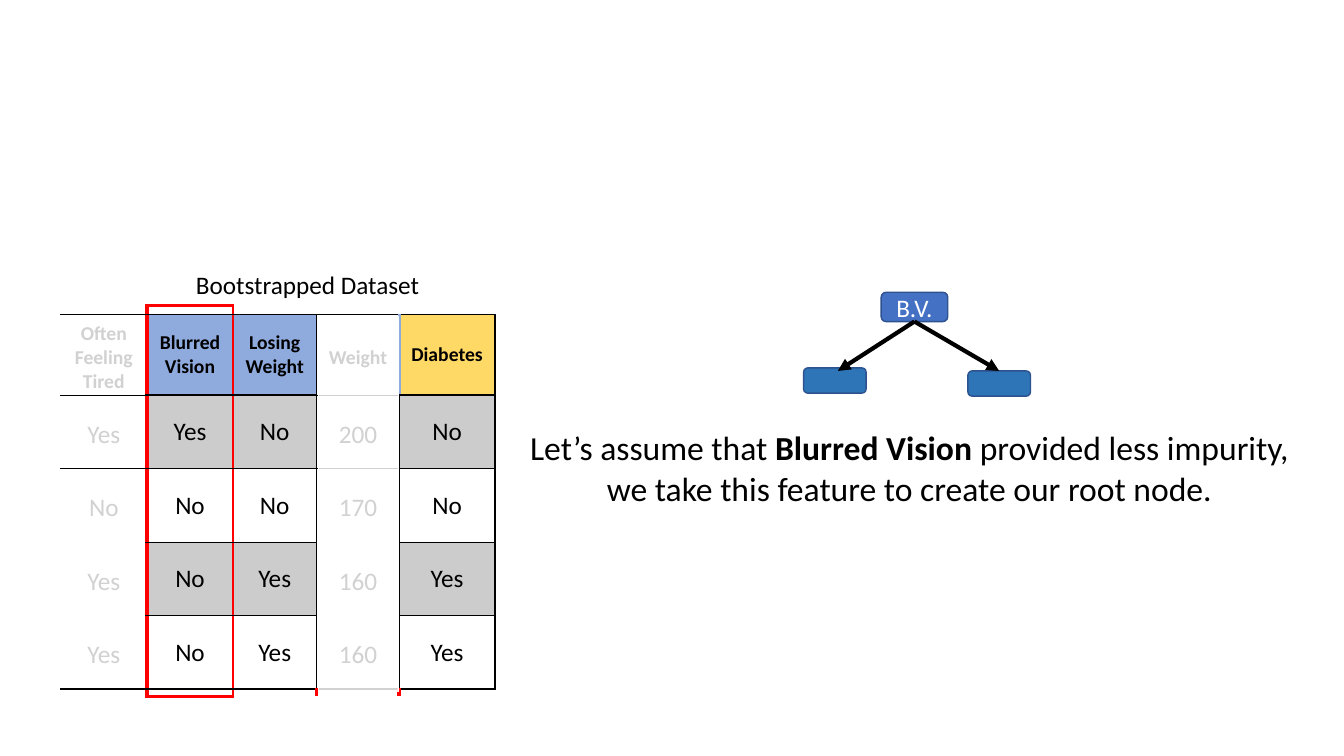
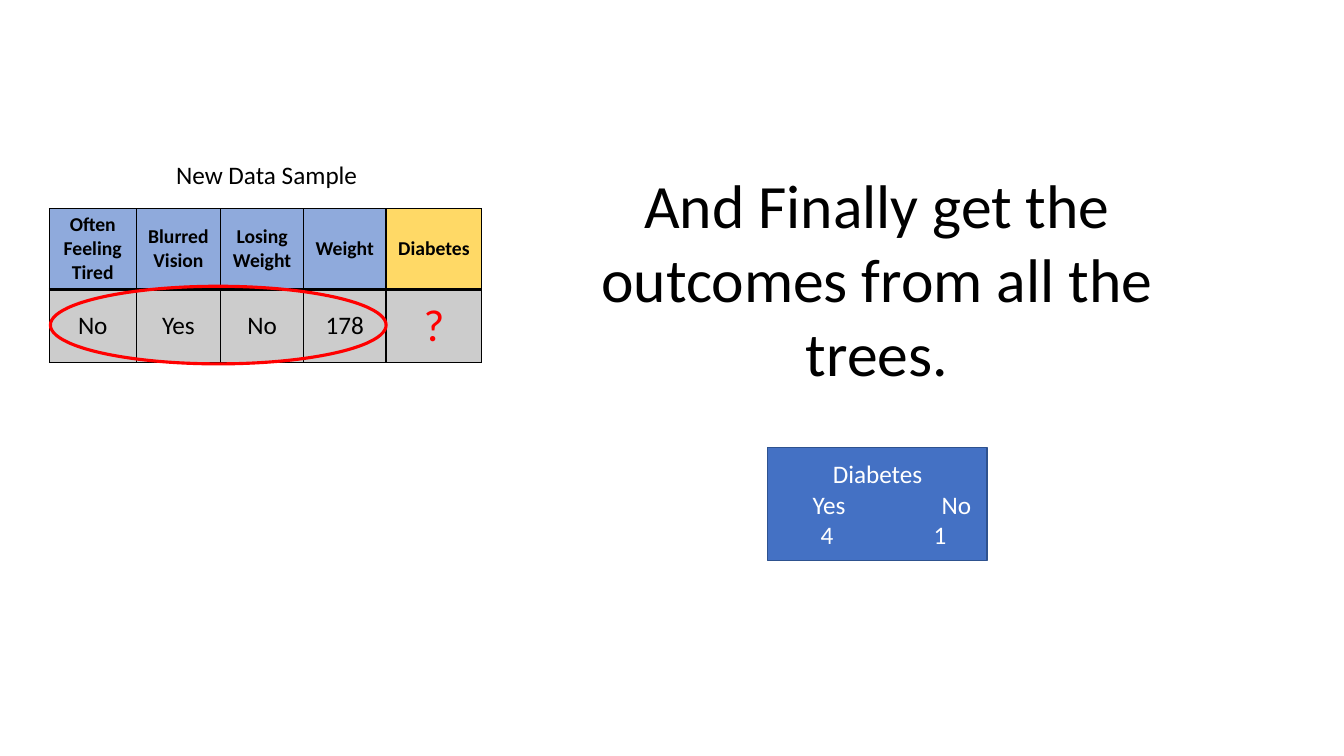
"""Build two slides that grow one tree and collect the votes for a new sample."""
import collections
import dataclasses

import lxml.etree
import pptx
import pptx.dml.color
import pptx.enum.shapes
import pptx.enum.text
import pptx.oxml.ns
import pptx.util

Inches = pptx.util.Inches
Pt = pptx.util.Pt
qn = pptx.oxml.ns.qn
Align = pptx.enum.text.PP_ALIGN
Anchor = pptx.enum.text.MSO_ANCHOR
Shape = pptx.enum.shapes.MSO_SHAPE


@dataclasses.dataclass(frozen=True)
class Theme:
    """Colours, type sizes and font of the deck."""
    font: str = "Calibri"
    black: str = "000000"
    white: str = "FFFFFF"
    red: str = "FF0000"
    feature: str = "8FAADC"
    target: str = "FFD966"
    stripe: str = "CCCCCC"
    root: str = "4471C4"
    leaf: str = "2D75B6"
    outline: str = "2E528F"
    header_size: int = 14
    label_size: int = 18
    body_size: int = 24
    question_size: int = 32
    headline_size: int = 44


THEME = Theme()
HEADERS = ["Often Feeling Tired", "Blurred Vision", "Losing Weight", "Weight", "Diabetes"]

BOOTSTRAP_TITLE = "Bootstrapped Dataset"
BOOTSTRAP_ROWS = [
    ["Yes", "Yes", "No", "200", "No"],
    ["No", "No", "No", "170", "No"],
    ["Yes", "No", "Yes", "160", "Yes"],
    ["Yes", "No", "Yes", "160", "Yes"],
]
BOOTSTRAP_PLACE = (0.6, 3.03)
BOOTSTRAP_COLUMNS = [0.86, 0.85, 0.83, 0.82, 0.95]
HEADER_HEIGHT, ROW_HEIGHT = 0.8, 0.73
BOOTSTRAP_HEIGHTS = [0.09, HEADER_HEIGHT] + [ROW_HEIGHT] * 4 + [0.07]
FADED = {0: 3, 3: 1}
BOOTSTRAP_VERTICAL = [
    (1, range(7), THEME.red, 3),
    (2, range(7), THEME.red, 2.25),
    (3, range(1, 6), THEME.black, 1),
    (3, [6], THEME.red, 3),
    (4, [1], THEME.feature, 2.25),
    (4, range(2, 6), THEME.black, 1),
    (5, range(1, 6), THEME.black, 1),
]
BOOTSTRAP_HORIZONTAL = [
    (0, [1], THEME.red, 2.25),
    (1, range(5), THEME.black, 0.75),
    (2, [0, 3], THEME.black, 0.75),
    (2, [1, 2, 4], THEME.black, 2.25),
    (3, [1, 2, 4], THEME.black, 1),
    (4, [1, 2, 4], THEME.black, 1),
    (5, [1, 2, 4], THEME.black, 1),
    (6, range(5), THEME.black, 1.5),
    (7, [1], THEME.red, 2.25),
]
VEIL_PLACES = {0: (0.6, 3.14, 0.86, 3.72), 3: (3.16, 3.14, 0.79, 3.72)}
NODES = [
    ("", (7.97, 3.65, 0.62, 0.25), THEME.leaf),
    ("B.V.", (8.74, 2.9, 0.66, 0.29), THEME.root),
    ("", (9.6, 3.68, 0.62, 0.25), THEME.leaf),
]
BRANCH_START = (9.07, 3.19)
BRANCH_ENDS = [(8.31, 3.68), (9.91, 3.68)]
EXPLANATION = [
    ("Let’s assume that ", False),
    ("Blurred Vision ", True),
    ("provided less impurity, we take this feature to create our root node.", False),
]

SAMPLE_CAPTION = "New Data Sample"
SAMPLE_ROW = ["No", "Yes", "No", "178", "?"]
SAMPLE_PLACE = (0.49, 2.07)
SAMPLE_COLUMNS = [0.86, 0.84, 0.82, 0.82, 0.95]
SAMPLE_VERTICAL = [(edge, range(2), THEME.black, 1) for edge in range(6)]
SAMPLE_HORIZONTAL = [
    (0, range(5), THEME.black, 1),
    (1, range(5), THEME.black, 2.25),
    (2, range(5), THEME.black, 1),
]
HEADLINE = "And Finally get the outcomes from all the trees."
VOTES = [("Diabetes", 0.65, None), ("Yes\tNo", 0.45, 1.45), ("4\t1", 0.53, 1.53)]


def color(code):
    """Turn a hex code into a colour."""
    return pptx.dml.color.RGBColor.from_string(code)


def inches(values):
    """Turn plain numbers into lengths."""
    return [Inches(value) for value in values]


def format_paragraph(paragraph, size, code=THEME.black, bold=False, align=Align.CENTER):
    """Give a paragraph its alignment and its runs their font."""
    paragraph.alignment = align
    for run in paragraph.runs:
        run.font.name = THEME.font
        run.font.size = Pt(size)
        run.font.bold = bold
        run.font.color.rgb = color(code)


def clear_margins(frame, wrap=True):
    """Remove the insets of a text frame and fix its size."""
    frame.margin_left = frame.margin_right = frame.margin_top = frame.margin_bottom = 0
    frame.word_wrap = wrap
    frame.auto_size = pptx.enum.text.MSO_AUTO_SIZE.NONE


def add_text(slide, place, text, size, wrap=True):
    """Add a centred text box."""
    frame = slide.shapes.add_textbox(*inches(place)).text_frame
    clear_margins(frame, wrap)
    frame.text = text
    format_paragraph(frame.paragraphs[0], size)
    return frame


def set_title(slide, text, place, size, wrap):
    """Move and format the title placeholder."""
    title = slide.shapes.title
    title.left, title.top, title.width, title.height = inches(place)
    title.text_frame.text = text
    clear_margins(title.text_frame, wrap)
    title.text_frame.vertical_anchor = Anchor.MIDDLE
    format_paragraph(title.text_frame.paragraphs[0], size)


def add_box(slide, kind, place, fill, line, width=1):
    """Add a preset shape; no fill when the fill is None."""
    shape = slide.shapes.add_shape(kind, *inches(place))
    shape.shadow.inherit = False
    if fill:
        shape.fill.solid()
        shape.fill.fore_color.rgb = color(fill)
    else:
        shape.fill.background()
    shape.line.color.rgb = color(line)
    shape.line.width = Pt(width)
    clear_margins(shape.text_frame)
    shape.text_frame.vertical_anchor = Anchor.MIDDLE
    return shape


def add_veil(slide, place):
    """Fade what lies below with translucent white."""
    veil = add_box(slide, Shape.RECTANGLE, place, THEME.white, THEME.white)
    fill_color = veil._element.spPr.find(qn("a:solidFill"))[0]
    lxml.etree.SubElement(fill_color, qn("a:alpha"), val="82000")


def add_arrow(slide, start, end):
    """Draw a thick arrow between two points."""
    arrow = slide.shapes.add_connector(
        pptx.enum.shapes.MSO_CONNECTOR.STRAIGHT, *inches(start + end))
    arrow.line.color.rgb = color(THEME.black)
    arrow.line.width = Pt(3)
    lxml.etree.SubElement(arrow.line._get_or_add_ln(), qn("a:tailEnd"), type="triangle")
    lxml.etree.SubElement(arrow._element.spPr, qn("a:effectLst"))


def draw_borders(table, vertical, horizontal):
    """Draw table rules on the cells at both sides of each edge."""
    borders = collections.defaultdict(dict)
    for edge, rows, code, width in vertical:
        for row in rows:
            borders[row, edge]["lnL"] = borders[row, edge - 1]["lnR"] = (code, width)
    for edge, columns, code, width in horizontal:
        for column in columns:
            borders[edge, column]["lnT"] = borders[edge - 1, column]["lnB"] = (code, width)
    for row in range(len(table.rows)):
        for column in range(len(table.columns)):
            properties = table.cell(row, column)._tc.get_or_add_tcPr()
            sides = [side for side in ("lnL", "lnR", "lnT", "lnB")
                     if side in borders[row, column]]
            for position, side in enumerate(sides):
                code, width = borders[row, column][side]
                line = lxml.etree.Element(qn("a:" + side), w=str(Pt(width)))
                fill = lxml.etree.SubElement(line, qn("a:solidFill"))
                lxml.etree.SubElement(fill, qn("a:srgbClr"), val=code)
                properties.insert(position, line)


def fill_cell(cell, text, fill, size, code, bold):
    """Write one cell and paint its background."""
    cell.margin_left = cell.margin_right = cell.margin_top = cell.margin_bottom = 0
    cell.vertical_anchor = Anchor.MIDDLE
    if not text:
        cell.fill.background()
        lxml.etree.SubElement(
            cell.text_frame.paragraphs[0]._p, qn("a:endParaRPr"), sz="100")
        return
    cell.text_frame.text = text
    format_paragraph(cell.text_frame.paragraphs[0], size, code, bold)
    if fill:
        cell.fill.solid()
        cell.fill.fore_color.rgb = color(fill)
    else:
        cell.fill.background()


def add_data_table(slide, place, widths, heights, rows, header_row, vertical, horizontal):
    """Add a table with a coloured header and striped rows."""
    size = (sum(widths), sum(heights))
    table = slide.shapes.add_table(len(rows), len(widths), *inches(place + size)).table
    table.first_row = table.horz_banding = False
    table._tbl.tblPr.find(qn("a:tableStyleId")).text = "{2D5ABB26-0587-4C30-8999-92F81FD0307C}"
    for column, width in enumerate(widths):
        table.columns[column].width = Inches(width)
    for row, texts in enumerate(rows):
        table.rows[row].height = Inches(heights[row])
        for column, text in enumerate(texts):
            header = row == header_row
            if header:
                fill = THEME.target if column == len(widths) - 1 else THEME.feature
            else:
                fill = THEME.stripe if (row - header_row) % 2 else None
            unknown = text == "?"
            value_size = THEME.question_size if unknown else THEME.label_size
            fill_cell(table.cell(row, column), text, fill,
                      THEME.header_size if header else value_size,
                      THEME.red if unknown else THEME.black, header)
    draw_borders(table, vertical, horizontal)
    return table


def add_faded_column(slide, column, header_lines):
    """Write an unused feature as a text column beside the table cells."""
    header_line, value_line = 17.1, 22
    left = BOOTSTRAP_PLACE[0] + sum(BOOTSTRAP_COLUMNS[:column])
    header_middle = 3.54
    top = header_middle - header_lines * header_line / 144
    first_value = 4.14
    frame = add_text(slide, (left, top, BOOTSTRAP_COLUMNS[column], 6.64 - top),
                     HEADERS[column], THEME.header_size)
    format_paragraph(frame.paragraphs[0], THEME.header_size, bold=True)
    frame.paragraphs[0].line_spacing = Pt(header_line)
    gap = (first_value - top) * 72 - header_lines * header_line
    for row in BOOTSTRAP_ROWS:
        paragraph = frame.add_paragraph()
        paragraph.text = row[column]
        format_paragraph(paragraph, THEME.label_size)
        paragraph.line_spacing = Pt(value_line)
        paragraph.space_before = Pt(gap)
        gap = ROW_HEIGHT * 72 - value_line


def build_tree_slide(slide):
    """Show the bootstrapped data and the root node."""
    set_title(slide, BOOTSTRAP_TITLE, (1.93, 2.66, 2.24, 0.33), THEME.label_size, False)
    for column, header_lines in FADED.items():
        add_faded_column(slide, column, header_lines)
    add_veil(slide, VEIL_PLACES[0])
    padding = [""] * len(HEADERS)
    shown = [["" if column in FADED else text for column, text in enumerate(row)]
             for row in [HEADERS] + BOOTSTRAP_ROWS]
    table = add_data_table(slide, BOOTSTRAP_PLACE, BOOTSTRAP_COLUMNS, BOOTSTRAP_HEIGHTS,
                           [padding] + shown + [padding], 1,
                           BOOTSTRAP_VERTICAL, BOOTSTRAP_HORIZONTAL)
    table.cell(0, 2).merge(table.cell(0, 4))
    add_veil(slide, VEIL_PLACES[3])
    for text, place, fill in NODES:
        node = add_box(slide, Shape.ROUNDED_RECTANGLE, place, fill, THEME.outline)
        if text:
            node.text_frame.text = text
            format_paragraph(node.text_frame.paragraphs[0], THEME.label_size, THEME.white)
    for end in BRANCH_ENDS:
        add_arrow(slide, BRANCH_START, end)
    paragraph = add_text(slide, (5.17, 4.24, 7.7, 0.83), "", THEME.body_size).paragraphs[0]
    for text, _ in EXPLANATION:
        paragraph.add_run().text = text
    format_paragraph(paragraph, THEME.body_size)
    for run, (_, bold) in zip(paragraph.runs, EXPLANATION):
        run.font.bold = bold


def build_vote_slide(slide):
    """Show the new sample and the votes of the trees."""
    set_title(slide, HEADLINE, (5.48, 1.66, 6.44, 2.2), THEME.headline_size, True)
    add_data_table(slide, SAMPLE_PLACE, SAMPLE_COLUMNS, [HEADER_HEIGHT, ROW_HEIGHT],
                   [HEADERS, SAMPLE_ROW], 0, SAMPLE_VERTICAL, SAMPLE_HORIZONTAL)
    add_box(slide, Shape.OVAL, (0.5, 2.84, 3.33, 0.77), None, THEME.red, 2.25)
    add_text(slide, (1.73, 1.58, 1.83, 0.33), SAMPLE_CAPTION, THEME.label_size, False)
    frame = add_box(slide, Shape.RECTANGLE, (7.61, 4.44, 2.18, 1.12),
                    THEME.root, THEME.outline).text_frame
    frame.text = "\n".join(text for text, _, _ in VOTES)
    for paragraph, (_, indent, stop) in zip(frame.paragraphs, VOTES):
        format_paragraph(paragraph, THEME.label_size, THEME.white, align=Align.LEFT)
        properties = paragraph._p.get_or_add_pPr()
        properties.set("marL", str(Inches(indent)))
        if stop:
            stops = lxml.etree.SubElement(properties, qn("a:tabLst"))
            lxml.etree.SubElement(stops, qn("a:tab"), pos=str(Inches(stop)), algn="l")


presentation = pptx.Presentation()
presentation.slide_width, presentation.slide_height = inches((13.33, 7.5))
for build in (build_tree_slide, build_vote_slide):
    build(presentation.slides.add_slide(presentation.slide_layouts[5]))
presentation.save("out.pptx")
